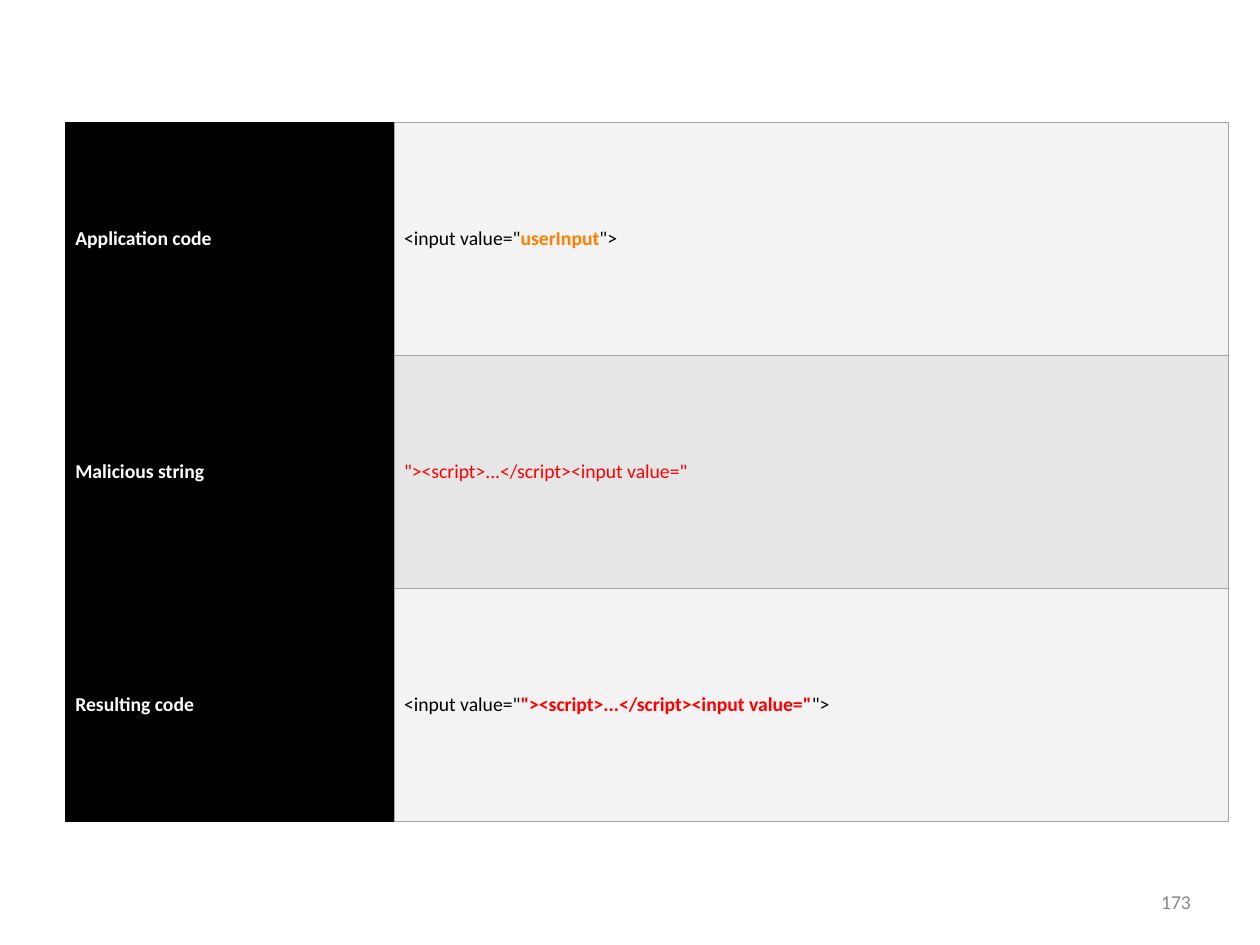
from dataclasses import dataclass

import lxml.etree
import pptx
import pptx.dml.color
import pptx.enum.text
import pptx.oxml.ns
import pptx.util
from pptx.util import Inches


@dataclass(frozen=True)
class Theme:
    font: str = "Calibri"
    size: int = 16
    black: str = "000000"
    white: str = "FFFFFF"
    user_input: str = "FF7F00"
    attack: str = "FF0000"
    page_number: str = "888888"
    grid: str = "A6A6A6"
    bands: tuple = ("F3F3F3", "E6E6E6")
    border_width: float = 1


THEME = Theme()
OPENING = '<input value="'
CLOSING = '">'
MALICIOUS_STRING = '"><script>...</script><input value="'

# Each row: label, then the code as (text, format) pieces
ROWS = [
    ("Application code", [(OPENING, {}),
                          ("userInput", {"color": THEME.user_input, "bold": True}),
                          (CLOSING, {})]),
    ("Malicious string", [(MALICIOUS_STRING, {"color": THEME.attack})]),
    ("Resulting code", [(OPENING, {}),
                        (MALICIOUS_STRING, {"color": THEME.attack, "bold": True}),
                        (CLOSING, {})]),
]


def rgb(color):
    return pptx.dml.color.RGBColor.from_string(color)


def add_text(paragraph, text, *, color=THEME.black, bold=False):
    run = paragraph.add_run()
    run.text = text
    run.font.name = THEME.font
    run.font.size = pptx.util.Pt(THEME.size)
    run.font.bold = bold
    run.font.color.rgb = rgb(color)


def set_borders(cell, **colors):
    """Draw the cell borders; they must precede the fill in the XML."""
    properties = cell._tc.get_or_add_tcPr()
    for side in "LRTB":
        line = lxml.etree.SubElement(properties, pptx.oxml.ns.qn(f"a:ln{side}"),
                                     w=str(pptx.util.Pt(THEME.border_width)))
        fill = lxml.etree.SubElement(line, pptx.oxml.ns.qn("a:solidFill"))
        lxml.etree.SubElement(fill, pptx.oxml.ns.qn("a:srgbClr"), val=colors[side])


def fill_cell(cell, pieces, *, fill, borders):
    set_borders(cell, **borders)
    cell.fill.solid()
    cell.fill.fore_color.rgb = rgb(fill)
    cell.vertical_anchor = pptx.enum.text.MSO_ANCHOR.MIDDLE
    cell.margin_left = cell.margin_right = Inches(0.11)
    cell.margin_top = cell.margin_bottom = Inches(0.06)
    for text, text_format in pieces:
        add_text(cell.text_frame.paragraphs[0], text, **text_format)


def add_code_table(slide):
    frame = slide.shapes.add_table(len(ROWS), 2, Inches(0.74), Inches(1.38),
                                   Inches(13.12), Inches(7.9))
    table = frame.table
    table.first_row = table.horz_banding = False
    for column, width in zip(table.columns, (3.71, 9.41)):
        column.width = Inches(width)

    code_borders = dict.fromkeys("LRTB", THEME.grid)
    label_borders = dict.fromkeys("LTB", THEME.black) | {"R": THEME.grid}
    label_format = {"color": THEME.white, "bold": True}
    for index, (label, code) in enumerate(ROWS):
        fill_cell(table.cell(index, 0), [(label, label_format)],
                  fill=THEME.black, borders=label_borders)
        fill_cell(table.cell(index, 1), code,
                  fill=THEME.bands[index % 2], borders=code_borders)


def add_page_number(slide, number):
    box = slide.shapes.add_textbox(Inches(10.19), Inches(9.97), Inches(3.32), Inches(0.41))
    frame = box.text_frame
    frame.word_wrap = True
    frame.vertical_anchor = pptx.enum.text.MSO_ANCHOR.MIDDLE
    frame.margin_left = frame.margin_right = Inches(0.07)
    frame.margin_top = frame.margin_bottom = Inches(0.07)
    paragraph = frame.paragraphs[0]
    paragraph.alignment = pptx.enum.text.PP_ALIGN.RIGHT
    add_text(paragraph, number, color=THEME.page_number)


def main():
    presentation = pptx.Presentation()
    presentation.slide_width = Inches(14.22)
    presentation.slide_height = Inches(10.67)
    slide = presentation.slides.add_slide(presentation.slide_layouts[6])

    # Page number, then the table of code
    add_page_number(slide, "173")
    add_code_table(slide)
    presentation.save("out.pptx")


if __name__ == "__main__":
    main()
